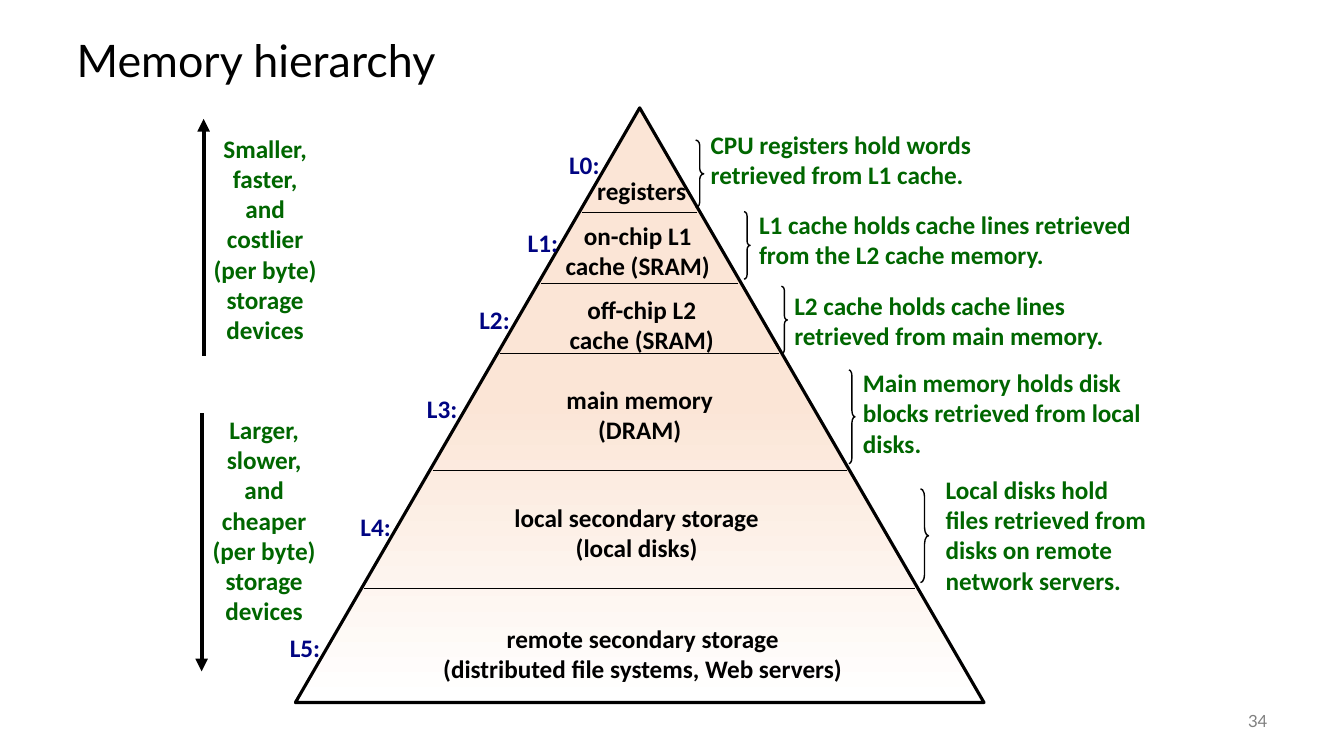
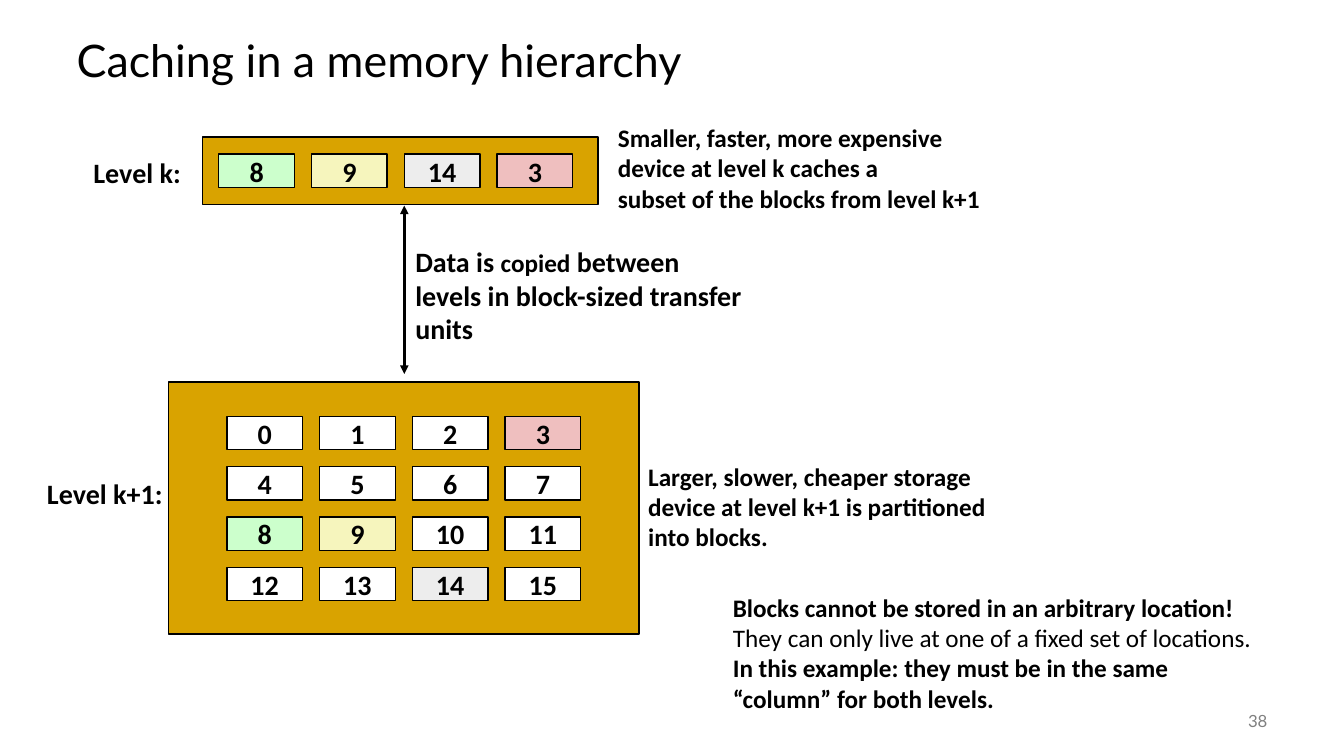
from copy import deepcopy

from pptx import Presentation
from pptx.dml.color import RGBColor
from pptx.enum import shapes, text
from pptx.oxml.ns import qn
from pptx.util import Inches, Pt
from lxml import etree

BLACK = RGBColor(0, 0, 0)
WHITE = RGBColor(0xFF, 0xFF, 0xFF)
GRAY = RGBColor(0x80, 0x80, 0x80)
GREEN = RGBColor(0, 0x66, 0)
NAVY = RGBColor(0, 0x04, 0x82)
PEACH = RGBColor(0xFB, 0xE5, 0xD6)
GOLD = RGBColor(0xD9, 0xA3, 0)
BLOCK_COLORS = {
    3: RGBColor(0xEF, 0xBF, 0xBF),
    8: RGBColor(0xCC, 0xFF, 0xCC),
    9: RGBColor(0xF6, 0xF5, 0xBD),
    14: RGBColor(0xED, 0xED, 0xED),
}
TITLE_FONT, BODY_FONT = "Lato", "Calibri"
LEFT, CENTER, RIGHT = text.PP_ALIGN.LEFT, text.PP_ALIGN.CENTER, text.PP_ALIGN.RIGHT

PYRAMID = (2.93, 1.07, 6.83, 5.9)
DIVIDERS = [2.11, 2.81, 3.51, 4.67, 5.84]
DIVIDER_INSET = 0.03
LEVELS = [
    ("registers", (5.81, 1.69, 1.11, 0.4), (5.54, 1.43)),
    ("on-chip L1\ncache (SRAM)", (5.5, 2.13, 1.65, 0.71), (5.13, 2.21)),
    ("off-chip L2\ncache (SRAM)", (5.54, 2.86, 1.65, 0.71), (4.65, 2.97)),
    ("main memory\n(DRAM)", (5.51, 3.76, 1.67, 0.71), (4.13, 3.85)),
    ("local secondary storage\n(local disks)", (4.98, 4.93, 2.67, 0.71), (3.47, 5.02)),
    ("remote secondary storage\n(distributed file systems, Web servers)",
     (4.26, 6.13, 4.23, 0.71), (2.77, 6.22)),
]
ROLES = [
    ("CPU registers hold words retrieved from L1 cache.",
     (6.95, 1.23, 2.86, 0.71), (6.9, 1.39, 0.08, 0.67), 0.67),
    ("L1 cache holds cache lines retrieved from the L2 cache memory.",
     (7.43, 2.02, 3.96, 0.71), (7.38, 2.1, 0.06, 0.67), 0.72),
    ("L2 cache holds cache lines retrieved from main memory.",
     (7.78, 2.82, 3.54, 0.71), (7.75, 2.84, 0.06, 0.67), 0.72),
    ("Main memory holds disk\nblocks retrieved from local\ndisks.",
     (8.46, 3.59, 3.09, 1.01), (8.42, 3.67, 0.06, 0.93), 1),
    ("Local disks hold files retrieved from disks on remote network servers.",
     (9.28, 4.65, 2.27, 1.31), (9.13, 4.85, 0.08, 0.93), 1),
]
TRENDS = [
    ("Smaller,\nfaster,\nand\ncostlier\n(per byte)\nstorage\ndevices",
     (2.01, 1.26, 1.24, 2.22), (2.02, 3.53, 2.02, 1.18)),
    ("Larger,\nslower,\nand\ncheaper\n(per byte)\nstorage\ndevices",
     (2, 4.05, 1.24, 2.22), (2, 4.1, 2, 6.66)),
]

STORES = [
    ("Level k:", (0.82, 1.49, 1.08, 0.44), (2.01, 1.36, 3.92, 0.67),
     (2.17, 1.53), [8, 9, 14, 3],
     "Smaller, faster, more expensive\ndevice at level k caches a\n"
     "subset of the blocks from level k+1", (6.03, 1.16, 3.84, 1.01)),
    ("Level k+1:", (0.36, 4.67, 1.36, 0.44), (1.67, 3.79, 4.67, 2.5),
     (2.25, 4.13), list(range(16)),
     "Larger, slower, cheaper storage\ndevice at level k+1 is partitioned\n"
     "into blocks.", (6.33, 4.52, 3.59, 1.01)),
]
COLUMNS, COLUMN_STEP, ROW_STEP = 4, 0.92, 0.5
BLOCK_SIZE = (0.75, 0.33)
TRANSFER = [("Data is ", 20), ("copied", 18), (" between", 20)]
PLACEMENT = ("Blocks cannot be stored in an arbitrary location!\n"
             "They can only live at one of a fixed set of locations.\n"
             "In this example: they must be in the same “column” for both levels.")


def inches(values):
    return [Inches(value) for value in values]


def style_text(shape, words, size=18, color=BLACK, align=LEFT, wrap=False,
               bold=True, font=BODY_FONT):
    frame = shape.text_frame
    frame.text = words
    frame.word_wrap = wrap
    frame.auto_size = text.MSO_AUTO_SIZE.NONE
    frame.vertical_anchor = text.MSO_ANCHOR.MIDDLE
    for para in frame.paragraphs:
        para.alignment = align
        para.font.name = font
        para.font.size = Pt(size)
        para.font.bold = bold
        para.font.color.rgb = color
    return frame.paragraphs


def add_text(page, words, area, **style):
    return style_text(page.shapes.add_textbox(*inches(area)), words, **style)


def add_shape(page, kind, area, fill=None, width=1):
    shape = page.shapes.add_shape(kind, *inches(area))
    shape.shadow.inherit = False
    if fill is None:
        shape.fill.background()
    else:
        shape.fill.solid()
        shape.fill.fore_color.rgb = fill
    shape.line.color.rgb = BLACK
    shape.line.width = Pt(width)
    return shape


def add_line(page, ends, width=1, arrows=()):
    line = page.shapes.add_connector(shapes.MSO_CONNECTOR.STRAIGHT, *inches(ends))
    line.line.color.rgb = BLACK
    line.line.width = Pt(width)
    outline = line.line._get_or_add_ln()
    for end in arrows:
        etree.SubElement(outline, qn(f"a:{end}"), type="triangle")
    etree.SubElement(line.element.spPr, qn("a:effectLst"))


def add_page(deck, title, number):
    page = deck.slides.add_slide(deck.slide_layouts[5])
    heading = page.shapes.title
    heading.left, heading.top, heading.width, heading.height = inches((0.66, 0.25, 12, 0.75))
    para = style_text(heading, title, size=32, wrap=True, bold=False, font=TITLE_FONT)[0]
    para.line_spacing = 0.9
    add_text(page, number, (11.67, 6.95, 1, 0.4), size=12, color=GRAY, align=RIGHT,
             wrap=True, bold=False, font=TITLE_FONT)
    return page


def draw_pyramid(page):
    left, top, width, height = PYRAMID
    pyramid = add_shape(page, shapes.MSO_SHAPE.ISOSCELES_TRIANGLE, PYRAMID, width=2.25)
    pyramid.fill.gradient()
    pyramid.fill.gradient_angle = 270
    upper, lower = pyramid.fill.gradient_stops
    upper.color.rgb, upper.position = PEACH, 0.49
    lower.color.rgb, lower.position = WHITE, 1
    stops = pyramid.element.spPr.find(".//" + qn("a:gsLst"))
    first = deepcopy(stops[0])
    first.set("pos", "0")
    stops.insert(0, first)
    middle = left + width / 2
    for y in DIVIDERS:
        half = (y - top) / height * width / 2 - DIVIDER_INSET
        add_line(page, (middle - half, y, middle + half, y))


def build_hierarchy(deck):
    page = add_page(deck, "Memory hierarchy", "34")
    draw_pyramid(page)
    for index, (name, area, tag_corner) in enumerate(LEVELS):
        add_text(page, name, area, align=CENTER)
        add_text(page, f"L{index}:", (*tag_corner, 0.51, 0.4), color=NAVY, align=CENTER)
    for role, area, brace_area, curve in ROLES:
        add_text(page, role, area, color=GREEN, wrap=True)
        brace = add_shape(page, shapes.MSO_SHAPE.RIGHT_BRACE, brace_area)
        brace.adjustments[0] = curve
    for trend, area, ends in TRENDS:
        add_text(page, trend, area, color=GREEN, align=CENTER)
        add_line(page, ends, width=3, arrows=["tailEnd"])


def build_caching(deck):
    page = add_page(deck, "Caching in a memory hierarchy", "38")
    for label, label_area, store_area, (left, top), blocks, note, note_area in STORES:
        add_text(page, label, label_area, size=20, align=CENTER)
        add_shape(page, shapes.MSO_SHAPE.RECTANGLE, store_area, GOLD)
        for index, block in enumerate(blocks):
            row, column = divmod(index, COLUMNS)
            area = (left + column * COLUMN_STEP, top + row * ROW_STEP, *BLOCK_SIZE)
            cell = add_shape(page, shapes.MSO_SHAPE.RECTANGLE, area,
                             BLOCK_COLORS.get(block, WHITE))
            style_text(cell, str(block), size=20, align=CENTER)
        add_text(page, note, note_area)
    add_line(page, (4.01, 2.04, 4.01, 3.71), width=2, arrows=["headEnd", "tailEnd"])
    opening = add_text(page, "\nlevels in block-sized transfer units",
                       (4.02, 2.37, 3.65, 1.11), size=20, wrap=True)[0]
    for words, size in TRANSFER:
        span = opening.add_run()
        span.text = words
        span.font.size = Pt(size)
    placement = add_text(page, PLACEMENT, (7.17, 5.82, 5.39, 1.31), wrap=True)
    placement[1].font.bold = False


def main():
    deck = Presentation()
    deck.slide_width, deck.slide_height = inches((13.33, 7.5))
    build_hierarchy(deck)
    build_caching(deck)
    deck.save("out.pptx")


if __name__ == "__main__":
    main()
